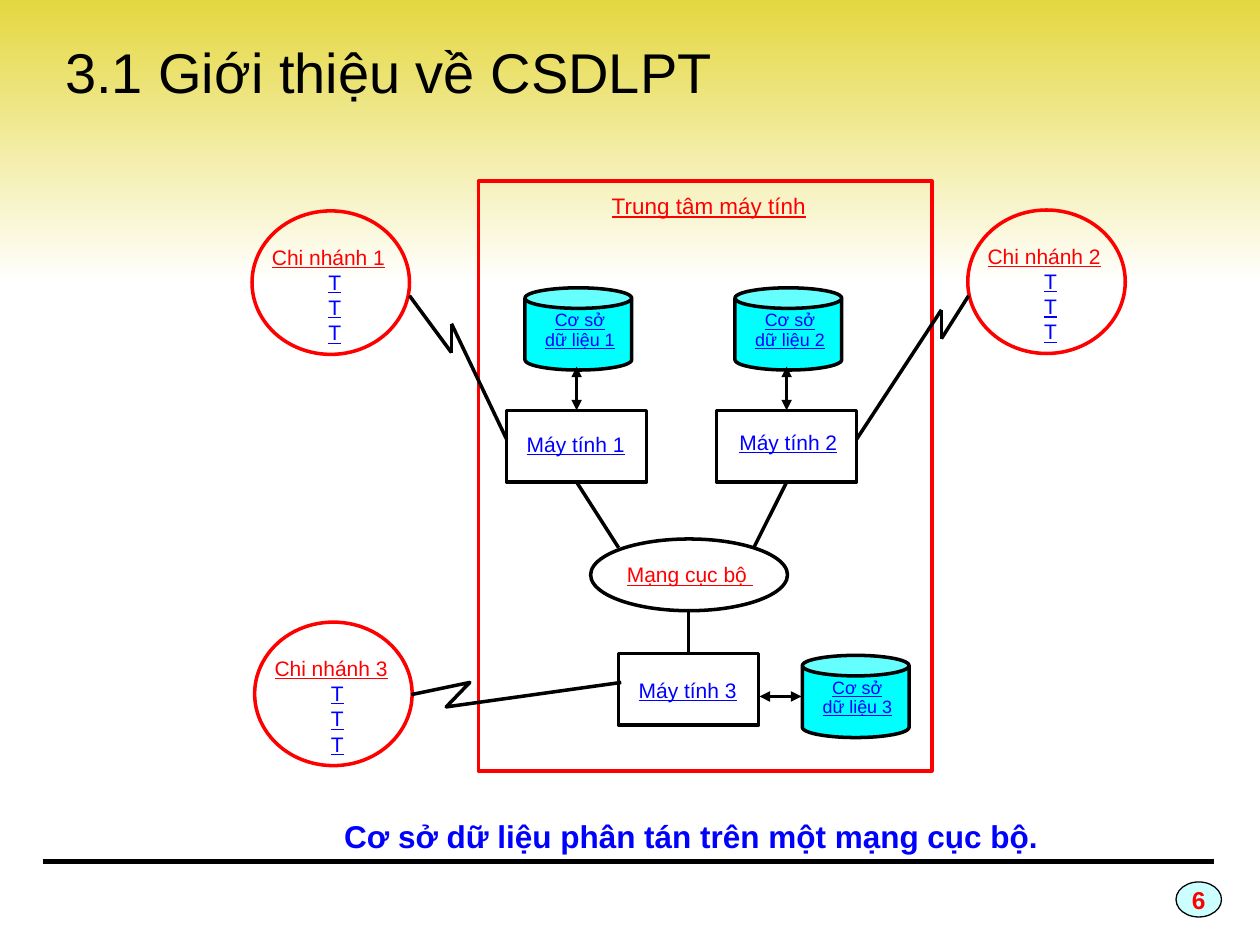
from dataclasses import dataclass
from itertools import pairwise

from lxml import etree
from pptx import Presentation
from pptx.dml.color import RGBColor
from pptx.enum.shapes import MSO_CONNECTOR, MSO_SHAPE
from pptx.enum.text import MSO_ANCHOR, MSO_AUTO_SIZE, PP_ALIGN
from pptx.oxml.ns import qn
from pptx.util import Pt

RECT, OVAL, CAN = MSO_SHAPE.RECTANGLE, MSO_SHAPE.OVAL, MSO_SHAPE.CAN
STRAIGHT = MSO_CONNECTOR.STRAIGHT
LEFT, CENTER = PP_ALIGN.LEFT, PP_ALIGN.CENTER
TOP, MIDDLE = MSO_ANCHOR.TOP, MSO_ANCHOR.MIDDLE
SITE_TOP, SITE_BOTTOM = 0, 2


@dataclass(frozen=True)
class Theme:
    font: str = "Arial"
    black: str = "000000"
    red: str = "FF0000"
    blue: str = "0000FF"
    cyan: str = "00FFFF"
    pale: str = "CCFFFF"
    gold: str = "E3D638"
    white: str = "FFFFFF"
    title: float = 32
    caption: float = 18
    number: float = 14
    heading: float = 12.8
    label: float = 12
    small: float = 10.2
    stroke: float = 2


class Diagram:
    def __init__(self, slide, theme):
        self.s, self.t = slide, theme

    def color(self, name):
        return RGBColor.from_string(name)

    def set_text(self, shape, lines, size, colors, bold=False, underline=False,
                 aligns=(CENTER,), spacing=None, anchor=TOP, wrap=True):
        """Set the lines; the last color and alignment carry on."""
        tf = shape.text_frame
        tf.word_wrap = wrap
        tf.auto_size = MSO_AUTO_SIZE.NONE
        tf.vertical_anchor = anchor
        tf.text = "\n".join(lines)
        for i, p in enumerate(tf.paragraphs):
            p.alignment = aligns[min(i, len(aligns) - 1)]
            p.space_before = Pt(0)
            if spacing:
                p.line_spacing = spacing
            for r in p.runs:
                r.font.name, r.font.size = self.t.font, Pt(size)
                r.font.bold, r.font.underline = bold, underline
                r.font.color.rgb = self.color(colors[min(i, len(colors) - 1)])

    def title(self, text, box):
        sp = self.s.shapes.title
        sp.left, sp.top, sp.width, sp.height = map(Pt, box)
        self.set_text(sp, [text], self.t.title, [self.t.black], aligns=[LEFT])
        self.s.shapes._spTree.append(sp._element)  # above the band

    def text(self, lines, box, size, *colors, **style):
        sp = self.s.shapes.add_textbox(*map(Pt, box))
        self.set_text(sp, lines, size, colors, **style)

    def shape(self, kind, box, line=None, fill=None, width=None):
        sp = self.s.shapes.add_shape(kind, *map(Pt, box))
        self.outline(sp, line, fill, width)
        return sp

    def outline(self, sp, line, fill=None, width=None):
        sp.shadow.inherit = False
        if fill:
            sp.fill.solid()
            sp.fill.fore_color.rgb = self.color(fill)
        else:
            sp.fill.background()
        if line:
            sp.line.color.rgb = self.color(line)
            sp.line.width = Pt(width or self.t.stroke)
        else:
            sp.line.fill.background()

    def band(self, box):
        sp = self.shape(RECT, box)
        sp.fill.gradient()
        sp.fill.gradient_angle = 270
        for stop, name in zip(sp.fill.gradient_stops, (self.t.gold, self.t.white)):
            stop.color.rgb = self.color(name)

    def line(self, start, end, width=None, arrows=False, begin=None, finish=None):
        c = self.s.shapes.add_connector(STRAIGHT, *map(Pt, (*start, *end)))
        if begin:
            c.begin_connect(*begin)
        if finish:
            c.end_connect(*finish)
        c.line.color.rgb = self.color(self.t.black)
        c.line.width = Pt(width or self.t.stroke)
        if arrows:
            for tag in ("a:headEnd", "a:tailEnd"):
                etree.SubElement(c.line._get_or_add_ln(), qn(tag), type="triangle")
        etree.SubElement(c._element.spPr, qn("a:effectLst"))

    def zigzag(self, points):
        for start, end in pairwise(points):
            self.line(start, end)

    def bolt(self, points):
        (x, y), *rest = [(Pt(px), Pt(py)) for px, py in points]
        fb = self.s.shapes.build_freeform(x, y)
        fb.add_line_segments(rest, close=False)
        self.outline(fb.convert_to_shape(), self.t.black)

    def computer(self, n, x, y, dx, dy):
        sp = self.shape(RECT, (x, y, 80, 41), self.t.black)
        self.text([f"Máy tính {n}"], (x + dx, y + dy, 78, 24.5), self.t.label,
                  self.t.blue, underline=True)
        return sp

    def database(self, n, x, y):
        self.shape(CAN, (x, y, 61, 47), self.t.black, self.t.cyan)
        self.text(["Cơ sở", f"dữ liệu {n}"], (x - 3.6, y + 10, 70, 33),
                  self.t.small, self.t.blue, underline=True, spacing=0.9)

    def branch(self, n, x, y):
        self.shape(OVAL, (x, y, 90, 82), self.t.red)
        self.text([f"Chi nhánh {n}", "T", "T", "T"], (x + 4.3, y + 15.5, 86, 68),
                  self.t.label, self.t.red, self.t.blue, underline=True,
                  aligns=(LEFT, CENTER))


def main():
    prs = Presentation()
    prs.slide_width, prs.slide_height = Pt(720), Pt(540)
    t = Theme()
    d = Diagram(prs.slides.add_slide(prs.slide_layouts[5]), t)

    # Background band, title, footer rule and slide number
    d.band((0, -6, 720, 168))
    d.title("3.1 Giới thiệu về CSDLPT", (30, 18, 444, 46))
    d.line((24.5, 492.5), (694, 492.5), width=3)
    badge = d.shape(OVAL, (672, 504, 26, 20), t.black, t.pale, 0.75)
    d.set_text(badge, ["6"], t.number, [t.red], bold=True, anchor=MIDDLE, wrap=False)

    # Computing centre
    d.shape(RECT, (273.5, 103.5, 259, 337), t.red)
    d.text(["Trung tâm máy tính"], (317.5, 108, 175, 24), t.heading, t.red,
           underline=True, spacing=0.9)

    # Computers and the local network
    pc1 = d.computer(1, 289.5, 234.5, 0.5, 8.5)
    pc2 = d.computer(2, 409.5, 234.5, 2, 7.5)
    pc3 = d.computer(3, 353.5, 373.5, 0.5, 10)
    d.shape(OVAL, (337.5, 308, 112.5, 41), t.black)
    d.text(["Mạng cục bộ "], (346, 317.5, 96.5, 33), t.label, t.red, underline=True)
    d.line((329.5, 275.5), (353.5, 313), begin=(pc1, SITE_BOTTOM))
    d.line((449.5, 275.5), (431, 312.5), begin=(pc2, SITE_BOTTOM))
    d.line((393.5, 349), (393.5, 373.5), finish=(pc3, SITE_TOP))

    # Databases and their links
    for n, x, y in ((1, 300, 164.5), (2, 420, 164.5), (3, 458.5, 374.5)):
        d.database(n, x, y)
    for pc, x in ((pc1, 329.5), (pc2, 449.5)):
        d.line((x, 209.5), (x, 234.5), arrows=True, finish=(pc, SITE_TOP))
    d.line((434, 398), (458, 398), arrows=True)

    # Branches and their remote links
    for n, x, y in ((1, 144, 120.5), (2, 553, 120), (3, 145.5, 355.5)):
        d.branch(n, x, y)
    d.zigzag([(234, 169), (258, 201.5), (258, 185), (289.5, 251)])
    d.zigzag([(489.5, 251), (538, 177), (538, 193.5), (553.5, 169)])
    d.bolt([(355, 390), (255, 404), (268.5, 390), (235, 397)])

    # Caption
    d.text(["Cơ sở dữ liệu phân tán trên một mạng cục bộ."], (99.5, 463.5, 591, 33),
           t.caption, t.blue, bold=True)

    prs.save("out.pptx")


if __name__ == "__main__":
    main()
